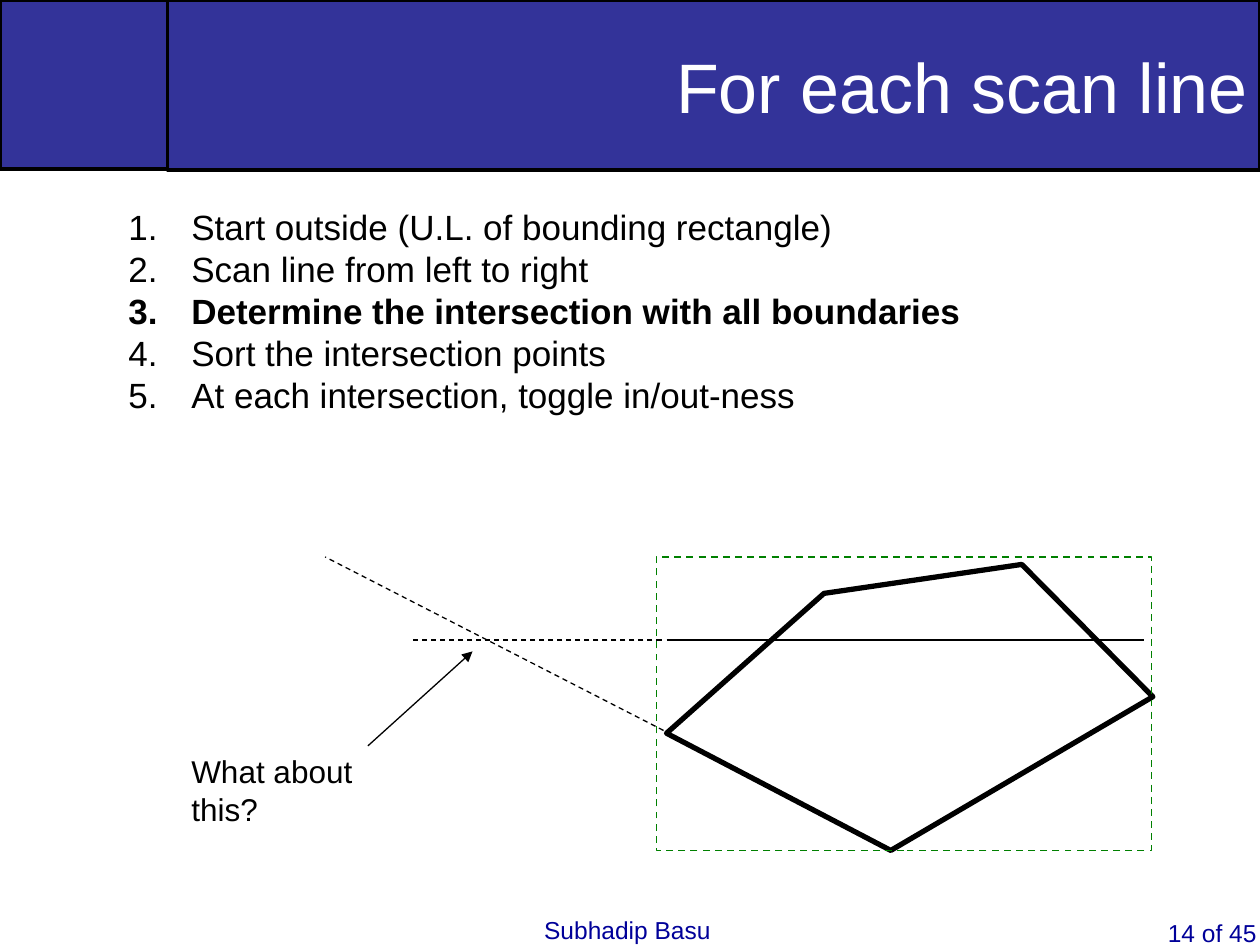
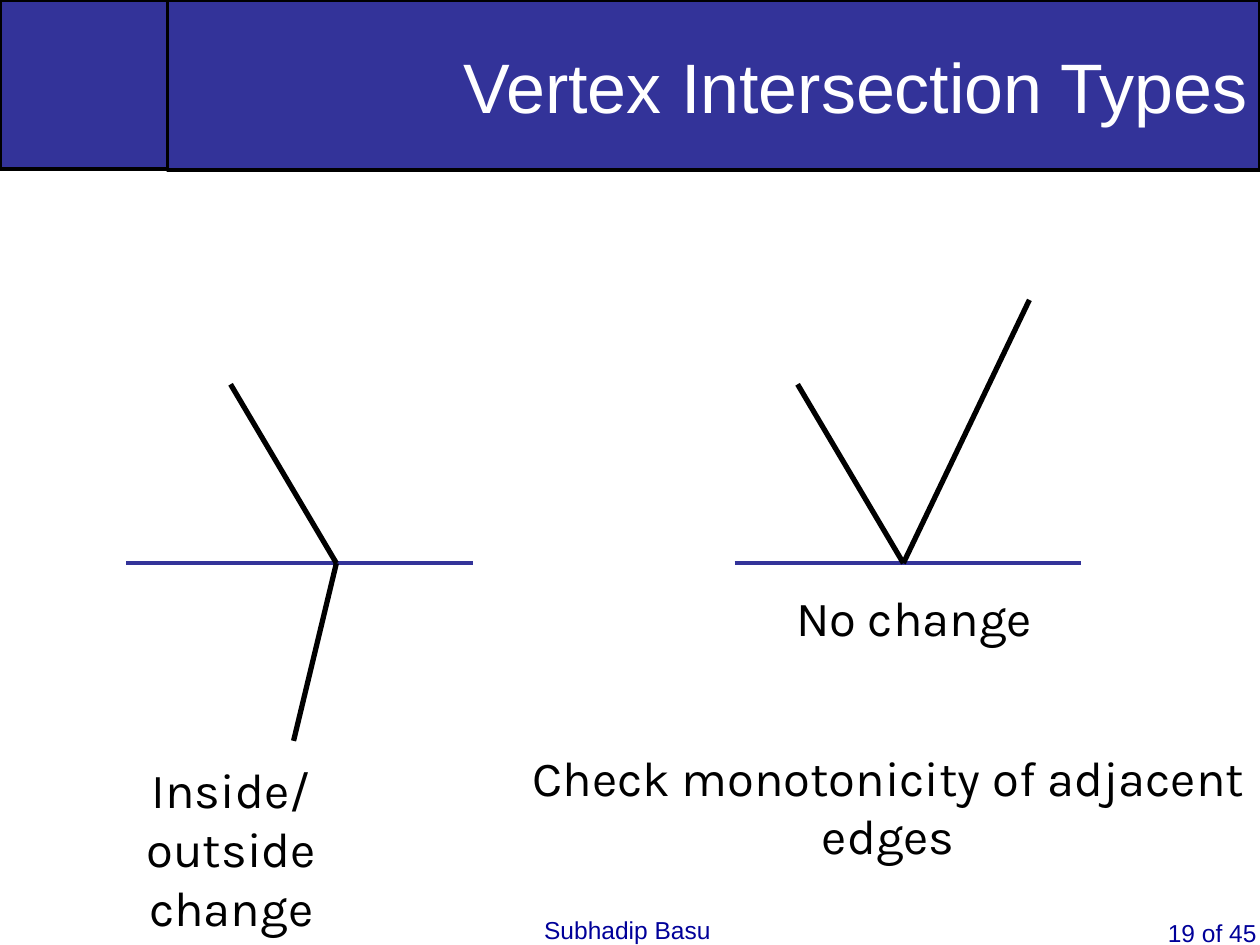
from dataclasses import dataclass
from typing import NamedTuple

from lxml import etree
from pptx import Presentation
from pptx.dml.color import RGBColor
from pptx.enum.dml import MSO_LINE_DASH_STYLE as Dash
from pptx.enum.shapes import MSO_CONNECTOR as Connector, MSO_SHAPE as Shape
from pptx.enum.text import MSO_ANCHOR as Anchor, PP_ALIGN as Align
from pptx.oxml.ns import qn
from pptx.util import Inches, Pt


@dataclass(frozen=True)
class Theme:
    band: RGBColor = RGBColor(0x33, 0x33, 0x99)
    footer: RGBColor = RGBColor(0x00, 0x00, 0x99)
    bounds: RGBColor = RGBColor(0x00, 0x80, 0x00)
    ink: RGBColor = RGBColor(0x00, 0x00, 0x00)
    paper: RGBColor = RGBColor(0xFF, 0xFF, 0xFF)
    sans: str = "Arial"
    hand: str = "Karla"
    title_size: int = 40
    label_size: int = 28
    list_size: int = 20
    note_size: int = 18
    footer_size: int = 14
    thin: float = 0.75
    scan: float = 2.25
    edge: float = 3


THEME = Theme()


class Point(NamedTuple):
    x: float
    y: float


class Box(NamedTuple):
    left: float
    top: float
    width: float
    height: float

    def lengths(self):
        return [Inches(value) for value in self]


@dataclass(frozen=True)
class Segment:
    start: Point
    end: Point
    width: float = THEME.thin
    color: RGBColor = THEME.ink
    dashed: bool = False
    arrow: bool = False


@dataclass(frozen=True)
class Label:
    text: str
    box: Box
    size: int = THEME.label_size
    font: str = THEME.hand
    color: RGBColor = THEME.ink
    align: Align = Align.CENTER
    wrap: bool = True


def style_paragraph(paragraph, size: int, font: str, color: RGBColor, bold: bool = False) -> None:
    paragraph.font.size = Pt(size)
    paragraph.font.name = font
    paragraph.font.bold = bold
    paragraph.font.color.rgb = color


def style_line(line, color: RGBColor, width: float, dashed: bool = False) -> None:
    line.color.rgb = color
    line.width = Pt(width)
    if dashed:
        line.dash_style = Dash.DASH


def draw_label(slide, label: Label) -> None:
    frame = slide.shapes.add_textbox(*label.box.lengths()).text_frame
    frame.word_wrap = label.wrap
    paragraph = frame.paragraphs[0]
    paragraph.text = label.text
    paragraph.alignment = label.align
    style_paragraph(paragraph, label.size, label.font, label.color)


def draw_segment(slide, segment: Segment) -> None:
    ends = [Inches(value) for value in (*segment.start, *segment.end)]
    connector = slide.shapes.add_connector(Connector.STRAIGHT, *ends)
    style_line(connector.line, segment.color, segment.width, segment.dashed)
    properties = connector._element.spPr
    if segment.arrow:
        etree.SubElement(properties.find(qn("a:ln")), qn("a:tailEnd"), type="triangle")
    etree.SubElement(properties, qn("a:effectLst"))


def draw_band(slide, box: Box):
    band = slide.shapes.add_shape(Shape.RECTANGLE, *box.lengths())
    band.shadow.inherit = False
    band.fill.solid()
    band.fill.fore_color.rgb = THEME.band
    style_line(band.line, THEME.ink, 2)
    return band


def draw_outline(slide, corners: list[Point]) -> None:
    first, *others = [(Inches(x), Inches(y)) for x, y in corners]
    builder = slide.shapes.build_freeform(*first)
    builder.add_line_segments(others, close=True)
    outline = builder.convert_to_shape()
    outline.shadow.inherit = False
    outline.fill.background()
    style_line(outline.line, THEME.ink, THEME.edge)


def draw_bounds(slide, box: Box) -> None:
    bounds = slide.shapes.add_shape(Shape.RECTANGLE, *box.lengths())
    bounds.shadow.inherit = False
    bounds.fill.background()
    style_line(bounds.line, THEME.bounds, 1, dashed=True)


def draw_steps(slide, box: Box, steps: list[str], current: int) -> None:
    frame = slide.shapes.add_textbox(*box.lengths()).text_frame
    frame.word_wrap = True
    for index, step in enumerate(steps):
        paragraph = frame.paragraphs[0] if index == 0 else frame.add_paragraph()
        paragraph.text = step
        properties = paragraph._p.get_or_add_pPr()
        properties.set("marL", str(Inches(1)))
        properties.set("indent", str(-Inches(0.5)))
        etree.SubElement(properties, qn("a:buAutoNum"), type="arabicPeriod")
        style_paragraph(paragraph, THEME.list_size, THEME.sans, THEME.ink, bold=index == current)


def add_titled_slide(deck, title: str, number: int):
    """Blank slide with the header bands, the title and the footers."""
    slide = deck.slides.add_slide(deck.slide_layouts[6])
    draw_band(slide, Box(0, 0, 1.33, 1.34))
    frame = draw_band(slide, Box(1.33, 0, 8.67, 1.35)).text_frame
    frame.word_wrap = True
    frame.vertical_anchor = Anchor.MIDDLE
    heading = frame.paragraphs[0]
    heading.text = title
    heading.alignment = Align.RIGHT
    style_paragraph(heading, THEME.title_size, THEME.sans, THEME.paper)

    for text, box, wrap in (
        (f"{number} of 45", Box(9.17, 7.24, 0.98, 0.57), True),
        ("Subhadip Basu", Box(4.22, 7.21, 1.52, 0.34), False),
    ):
        draw_label(slide, Label(text, box, THEME.footer_size, THEME.sans,
                                THEME.footer, Align.LEFT, wrap))
    return slide


def build_scan_line_slide(deck) -> None:
    slide = add_titled_slide(deck, "For each scan line", 14)
    draw_steps(slide, Box(0.42, 1.58, 9, 2.1), [
        "Start outside (U.L. of bounding rectangle)",
        "Scan line from left to right",
        "Determine the intersection with all boundaries",
        "Sort the intersection points",
        "At each intersection, toggle in/out-ness",
    ], current=2)

    # Polygon, its bounding rectangle and the scan line
    draw_outline(slide, [Point(5.29, 5.82), Point(6.54, 4.71), Point(8.11, 4.48),
                         Point(9.15, 5.53), Point(7.07, 6.75)])
    draw_bounds(slide, Box(5.21, 4.42, 3.93, 2.33))
    scan_y = 5.08
    draw_segment(slide, Segment(Point(5.29, scan_y), Point(9.08, scan_y)))

    # Extended lines that meet outside the polygon
    draw_segment(slide, Segment(Point(5.25, scan_y), Point(3.25, scan_y), dashed=True))
    draw_segment(slide, Segment(Point(5.33, 5.83), Point(2.58, 4.42), dashed=True))
    draw_segment(slide, Segment(Point(2.92, 5.92), Point(3.75, 5.17), arrow=True))
    draw_label(slide, Label("What about this?", Box(1.42, 5.92, 2.07, 0.4), THEME.note_size,
                            THEME.sans, align=Align.LEFT, wrap=False))


def build_vertex_slide(deck) -> None:
    slide = add_titled_slide(deck, "Vertex Intersection Types", 19)
    scan_y, scan_length = 4.47, 2.75

    # Each case: scan line start, shared vertex, far ends of its two edges
    cases = [
        (1, Point(2.67, scan_y), (Point(1.83, 3.05), Point(2.33, 5.88))),
        (5.83, Point(7.17, scan_y), (Point(6.33, 3.05), Point(8.17, 2.38))),
    ]
    for scan_left, vertex, far_ends in cases:
        draw_segment(slide, Segment(Point(scan_left, scan_y), Point(scan_left + scan_length, scan_y),
                                    THEME.scan, THEME.band))
        for far_end in far_ends:
            draw_segment(slide, Segment(far_end, vertex, THEME.edge))

    # Captions
    draw_label(slide, Label("Inside/outside change", Box(0.5, 5.98, 2.67, 1.5)))
    draw_label(slide, Label("No change", Box(5.92, 4.61, 2.67, 0.57)))
    draw_label(slide, Label("Check monotonicity of adjacent edges", Box(4.07, 5.88, 5.96, 1.04)))


def main() -> None:
    deck = Presentation()
    deck.slide_width, deck.slide_height = Inches(10), Inches(7.5)
    build_scan_line_slide(deck)
    build_vertex_slide(deck)
    deck.save("out.pptx")


if __name__ == "__main__":
    main()
